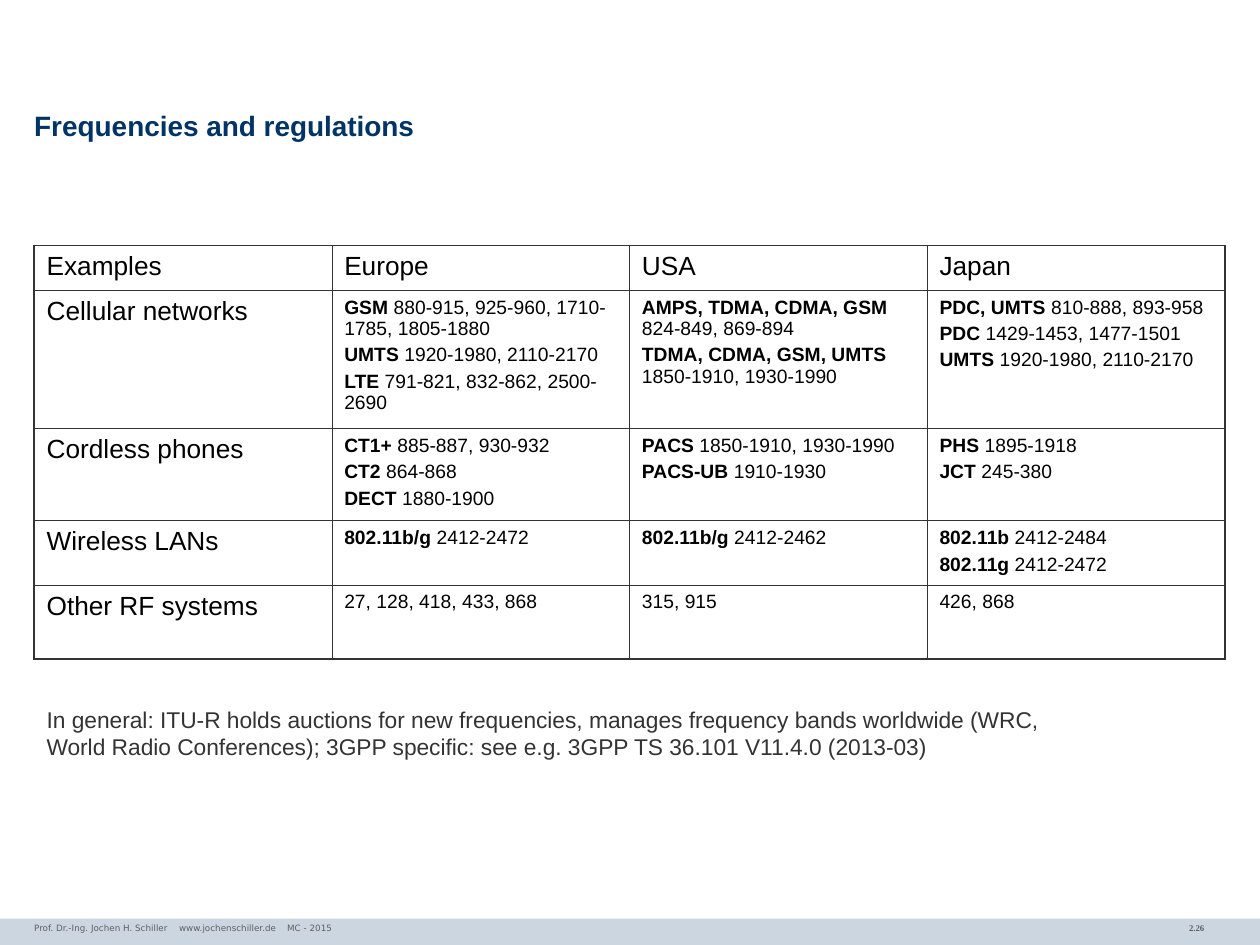
from dataclasses import dataclass

from lxml.etree import SubElement
from pptx import Presentation
from pptx.dml.color import RGBColor as Color
from pptx.enum.shapes import MSO_SHAPE as Shape
from pptx.enum.text import MSO_ANCHOR as Anchor, PP_ALIGN as Align
from pptx.oxml.ns import qn
from pptx.util import Cm, Pt


@dataclass(frozen=True)
class Theme:
    font: str = "Arial"
    footer_font: str = "DejaVu Sans"
    number_font: str = "Times New Roman"
    navy: str = "003366"
    black: str = "000000"
    ink: str = "333333"
    grey: str = "5F5F5F"
    band: str = "CCD6E0"
    title: float = 16
    label: float = 15
    note: float = 13
    detail: float = 11
    footer: float = 5
    outer_line: float = 1.08
    inner_line: float = 0.45


THEME = Theme()
LEFT, WIDTH = 0.69, 24

HEADER = ["Examples", "Europe", "USA", "Japan"]
ROW_HEIGHTS = [0.9, 2.7, 1.86, 1.29, 1.5]
# Each entry is a (system, bands) pair; one list per region
FREQUENCIES = {
    "Cellular networks": [
        [("GSM", " 880-915, 925-960, 1710-1785, 1805-1880"),
         ("UMTS", " 1920-1980, 2110-2170"),
         ("LTE", " 791-821, 832-862, 2500-2690")],
        [("AMPS, TDMA, CDMA, GSM", " 824-849, 869-894"),
         ("TDMA, CDMA, GSM, UMTS", " 1850-1910, 1930-1990")],
        [("PDC, UMTS", " 810-888, 893-958"),
         ("PDC", " 1429-1453, 1477-1501"),
         ("UMTS", " 1920-1980, 2110-2170")],
    ],
    "Cordless phones": [
        [("CT1+", " 885-887, 930-932"), ("CT2", " 864-868"), ("DECT", " 1880-1900")],
        [("PACS", " 1850-1910, 1930-1990"), ("PACS-UB", " 1910-1930")],
        [("PHS", " 1895-1918"), ("JCT", " 245-380")],
    ],
    "Wireless LANs": [
        [("802.11b/g", " 2412-2472")],
        [("802.11b/g", " 2412-2462")],
        [("802.11b", " 2412-2484"), ("802.11g", " 2412-2472")],
    ],
    "Other RF systems": [
        [("", "27, 128, 418, 433, 868")],
        [("", "315, 915")],
        [("", "426, 868")],
    ],
}


def add_span(para, text, size, color, bold=False, font=THEME.font):
    span = para.add_run()
    span.text = text
    span.font.name = font
    span.font.size = Pt(size)
    span.font.bold = bold
    span.font.color.rgb = Color.from_string(color)


def set_margins(frame, side, end):
    frame.margin_left = frame.margin_right = Cm(side)
    frame.margin_top = frame.margin_bottom = Cm(end)


def add_text_box(page, left, top, width, height, side=0.25):
    box = page.shapes.add_textbox(Cm(left), Cm(top), Cm(width), Cm(height))
    box.text_frame.word_wrap = True
    set_margins(box.text_frame, side, 0.13)
    return box.text_frame.paragraphs[0]


def add_tab_stops(para, positions):
    stops = SubElement(para._p.get_or_add_pPr(), qn("a:tabLst"))
    for position in positions:
        SubElement(stops, qn("a:tab"), pos=str(Cm(position)), algn="l")


def add_footer(page, left, top, width, height):
    band = page.shapes.add_shape(Shape.RECTANGLE, Cm(left), Cm(top), Cm(width), Cm(height))
    band.shadow.inherit = False
    band.fill.solid()
    band.fill.fore_color.rgb = Color.from_string(THEME.band)
    band.line.fill.background()

    # Page number at the right
    para = add_text_box(page, left + 21.13, top - 0.03, 3.4, 0.58)
    para.alignment = Align.RIGHT
    add_span(para, "2.26", THEME.footer, THEME.grey, True, THEME.number_font)

    # Author, site and course, spaced by tabs
    para = add_text_box(page, left + LEFT, top - 0.03, 16.6, 0.56, side=0)
    add_tab_stops(para, [2.92, 5.1])
    credit = "\t".join(["Prof. Dr.-Ing. Jochen H. Schiller", "www.jochenschiller.de", "MC - 2015"])
    add_span(para, credit, THEME.footer, THEME.grey, font=THEME.footer_font)


def place_title(page, left, top, width, height):
    title = page.shapes.title
    title.left, title.top, title.width, title.height = map(Cm, (left, top, width, height))
    frame = title.text_frame
    set_margins(frame, 0, 0)
    frame.vertical_anchor = Anchor.MIDDLE
    para = frame.paragraphs[0]
    para.alignment = Align.LEFT
    para.line_spacing = 0.85
    add_span(para, "Frequencies and regulations", THEME.title, THEME.navy, True)


def set_borders(cell, at_edge):
    props = cell._tc.get_or_add_tcPr()
    for side in ("L", "R", "T", "B"):
        weight = THEME.outer_line if at_edge[side] else THEME.inner_line
        line = SubElement(props, qn(f"a:ln{side}"), w=str(Pt(weight)))
        SubElement(SubElement(line, qn("a:solidFill")), qn("a:srgbClr"), val=THEME.ink)


def fill_cell(cell, entries):
    frame = cell.text_frame
    for index, (system, bands) in enumerate(entries):
        para = frame.add_paragraph() if index else frame.paragraphs[0]
        if index:
            para.space_before = Pt(2.8)
        if system:
            add_span(para, system, THEME.detail, THEME.black, True)
        add_span(para, bands, THEME.detail, THEME.black)


def add_frequency_table(page, left, top, width, row_heights):
    rows, columns = len(row_heights), len(HEADER)
    table = page.shapes.add_table(rows, columns, Cm(left), Cm(top),
                                  Cm(width), Cm(sum(row_heights))).table
    table.first_row = table.horz_banding = False
    for column in table.columns:
        column.width = Cm(width / columns)
    for row, height in zip(table.rows, row_heights):
        row.height = Cm(height)

    contents = [HEADER] + [[name, *regions] for name, regions in FREQUENCIES.items()]
    for r, values in enumerate(contents):
        for c, value in enumerate(values):
            cell = table.cell(r, c)
            set_margins(cell, 0.25, 0.13)
            set_borders(cell, {"L": c == 0, "R": c == columns - 1,
                               "T": r == 0, "B": r == rows - 1})
            cell.fill.background()
            if isinstance(value, str):
                add_span(cell.text_frame.paragraphs[0], value, THEME.label, THEME.black)
            else:
                fill_cell(cell, value)


def add_note(page, left, top, width, height):
    para = add_text_box(page, left, top, width, height)
    add_span(para, "In general: ITU-R holds auctions for new frequencies, manages frequency "
             "bands worldwide (WRC, World Radio Conferences); 3GPP specific: see e.g. "
             "3GPP TS 36.101 V11.4.0 (2013-03)", THEME.note, THEME.ink)


def main():
    deck = Presentation()
    deck.slide_width, deck.slide_height = Cm(25.4), Cm(19.05)
    page = deck.slides.add_slide(deck.slide_layouts[5])
    add_footer(page, 0, 18.52, 25.4, 0.53)
    place_title(page, LEFT, 1.98, WIDTH, 1.2)
    add_frequency_table(page, LEFT, 4.95, WIDTH, ROW_HEIGHTS)
    add_note(page, LEFT, 14.1, 20.93, 1.9)
    deck.save("out.pptx")


if __name__ == "__main__":
    main()
